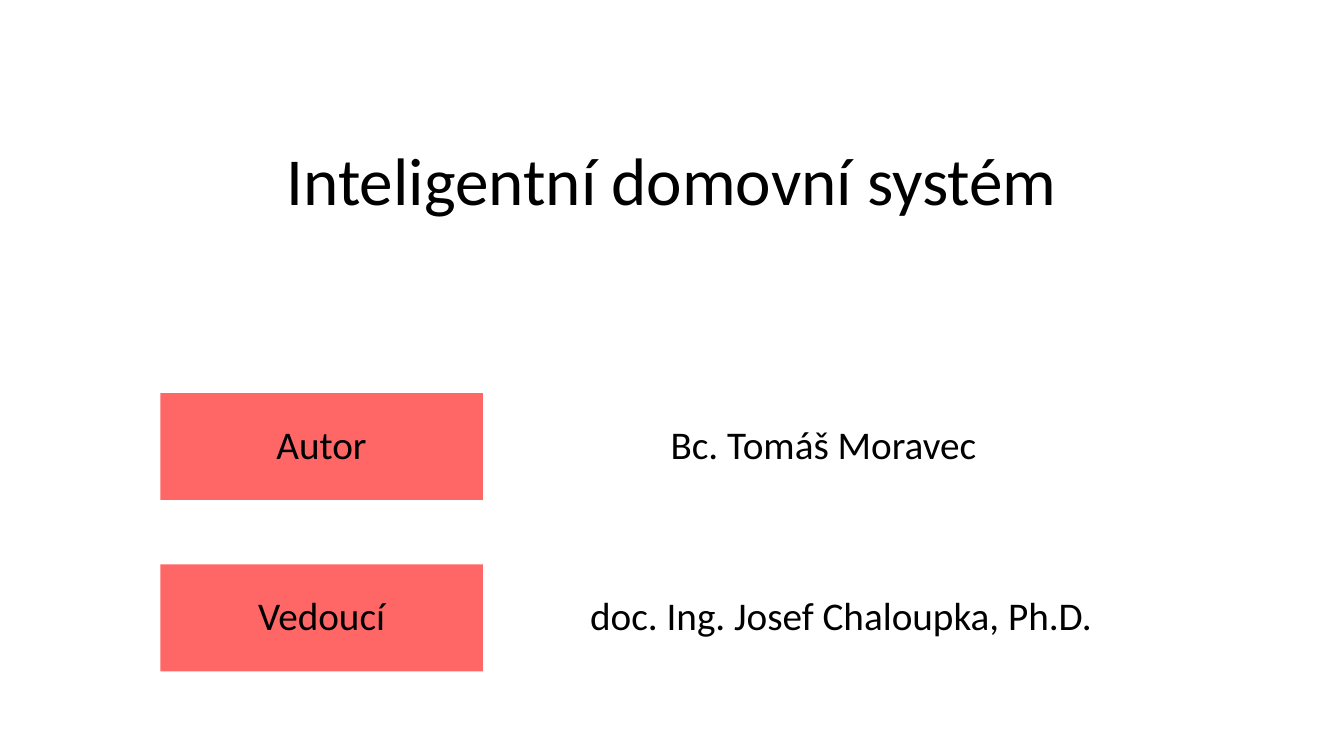
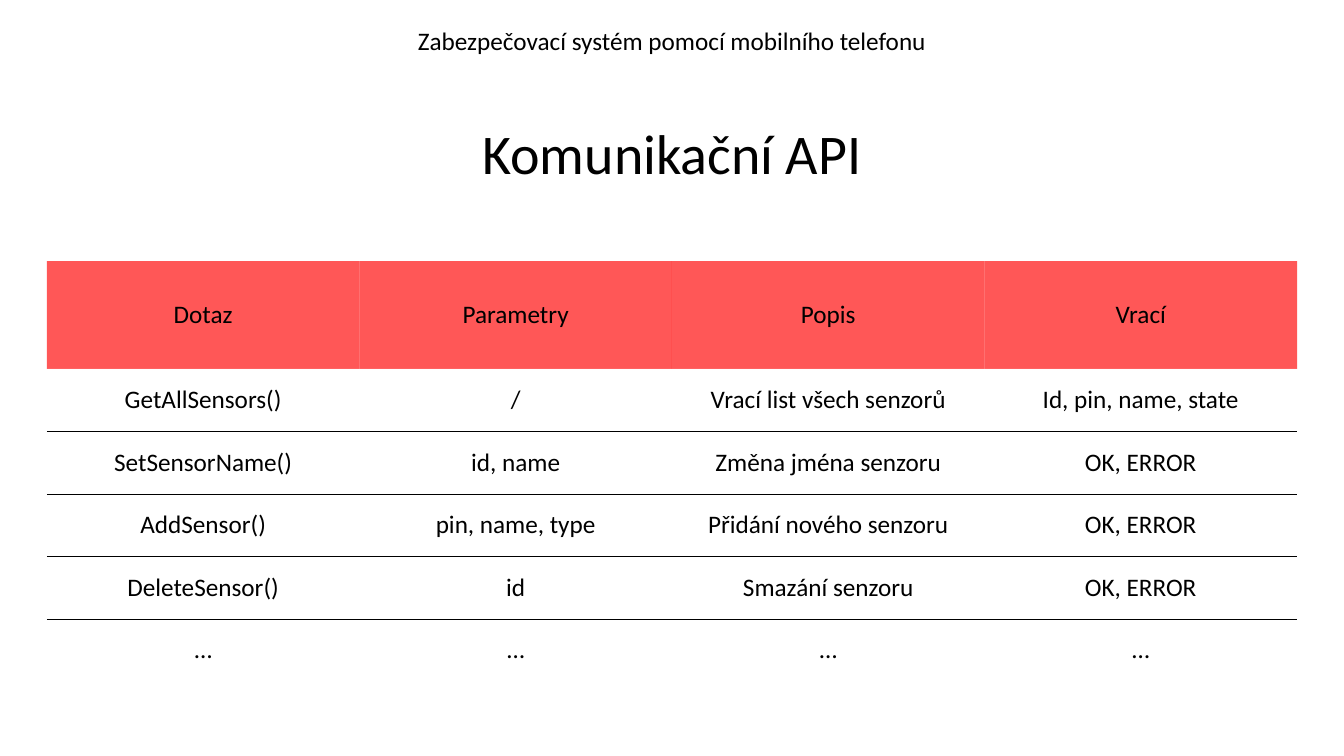
from dataclasses import dataclass
from lxml.etree import SubElement as Sub
from pptx import Presentation
from pptx.dml.color import RGBColor as Rgb
from pptx.enum.shapes import MSO_SHAPE as Form
from pptx.enum.text import MSO_ANCHOR as Anchor, MSO_AUTO_SIZE as Auto, PP_ALIGN as Align
from pptx.oxml.ns import qn
from pptx.slide import Slide
from pptx.table import _Cell as Cell
from pptx.text.text import TextFrame as Frame
from pptx.util import Inches, Pt

WIDE, HIGH = Inches(13.33), Inches(7.5)
FONT = "Calibri"
RED, WHITE, BLACK = "FF0000", "FFFFFF", "000000"
PLAIN = "{2D5ABB26-0587-4C30-8999-92F81FD0307C}"
LEFT, FULL = 11.93, 76.22
TAG_WIDE, TAG_HIGH, NAME_HIGH = 24, 14.13, 11.47
COLS, HEAD, ROW = 4, 14.27, 8.27
TABLE_TOP, TABLE_WIDE = 34.53, 93.02


@dataclass(frozen=True)
class Area:
    x: float
    y: float
    w: float
    h: float

    def place(self) -> tuple[int, int, int, int]:
        return (int(WIDE * self.x / 100), int(HIGH * self.y / 100),
                int(WIDE * self.w / 100), int(HIGH * self.h / 100))


@dataclass(frozen=True)
class Role:
    tag: str
    name: str
    top: float
    inset: float


ROLES = [
    Role("Autor", "Bc. Tomáš Moravec", 52, 3.09),
    Role("Vedoucí", "doc. Ing. Josef Chaloupka, Ph.D.", 74.67, 3.44),
]
CALLS = [
    ("Dotaz", "Parametry", "Popis", "Vrací"),
    ("GetAllSensors()", "/", "Vrací list všech senzorů", "Id, pin, name, state"),
    ("SetSensorName()", "id, name", "Změna jména senzoru", "OK, ERROR"),
    ("AddSensor()", "pin, name, type", "Přidání nového senzoru", "OK, ERROR"),
    ("DeleteSensor()", "id", "Smazání senzoru", "OK, ERROR"),
    ("…",) * COLS,
]


def color(code: str) -> Rgb:
    return Rgb.from_string(code)


def paint(fill, node, code: str, alpha: int) -> None:
    fill.solid()
    fill.fore_color.rgb = color(code)
    tone = next(node.iter(qn("a:srgbClr")))
    Sub(tone, qn("a:alpha"), val=str(alpha * 1000))


def write(frame: Frame, text: str, size: int, gap: float = 0.9) -> None:
    frame.text = text
    line = frame.paragraphs[0]
    line.alignment = Align.CENTER
    line.line_spacing = gap
    line.space_before = Pt(0)
    font = line.runs[0].font
    font.name, font.size = FONT, Pt(size)
    font.color.rgb = color(BLACK)


def style(shape, text: str, size: int, code: str = WHITE) -> None:
    paint(shape.fill, shape._element, code, 60)
    shape.line.fill.background()
    frame = shape.text_frame
    frame.word_wrap = True
    frame.auto_size = Auto.NONE
    frame.vertical_anchor = Anchor.MIDDLE
    write(frame, text, size)


def title(slide: Slide, text: str, size: int, area: Area) -> None:
    shape = slide.shapes.title
    shape.left, shape.top, shape.width, shape.height = area.place()
    style(shape, text, size)


def box(slide: Slide, text: str, size: int, area: Area,
        code: str = WHITE, inset: float = 0.1) -> None:
    shape = slide.shapes.add_shape(Form.RECTANGLE, *area.place())
    shape.shadow.inherit = False
    style(shape, text, size, code)
    shape.text_frame.margin_left = Inches(inset)


def rule(cell: Cell, sides: str) -> None:
    props = cell._tc.get_or_add_tcPr()
    for spot, side in enumerate(sides):
        line = Sub(props, qn(f"a:ln{side}"), w=str(Pt(0.5)))
        fill = Sub(line, qn("a:solidFill"))
        Sub(fill, qn("a:srgbClr"), val=BLACK)
        props.insert(spot, line)


def grid(slide: Slide) -> None:
    rows = len(CALLS)
    area = Area((100 - TABLE_WIDE) / 2, TABLE_TOP, TABLE_WIDE, HEAD + ROW * (rows - 1))
    table = slide.shapes.add_table(rows, COLS, *area.place()).table
    table._tbl.tblPr.find(qn("a:tableStyleId")).text = PLAIN
    table.horz_banding = False
    for r, call in enumerate(CALLS):
        table.rows[r].height = int(HIGH * (ROW if r else HEAD) / 100)
        sides = ("T" if r > 1 else "") + ("B" if 0 < r < rows - 1 else "")
        for c, text in enumerate(call):
            cell = table.cell(r, c)
            cell.vertical_anchor = Anchor.MIDDLE
            paint(cell.fill, cell._tc, *((WHITE, 53) if r else (RED, 66)))
            write(cell.text_frame, text, 18, 1.0)
            rule(cell, sides)


def cover(slide: Slide) -> None:
    title(slide, "Inteligentní domovní systém", 48, Area(0, 11.6, 100, 25.33))
    shift = (TAG_HIGH - NAME_HIGH) / 2
    for role in ROLES:
        box(slide, role.name, 28, Area(LEFT, role.top + shift, FULL, NAME_HIGH),
            inset=role.inset)
        box(slide, role.tag, 28, Area(LEFT, role.top, TAG_WIDE, TAG_HIGH), RED)


def calls(slide: Slide) -> None:
    box(slide, "Zabezpečovací systém pomocí mobilního telefonu", 18, Area(0, 1.6, 100, 8))
    title(slide, "Komunikační API", 40, Area(0, 12, 100, 17.47))
    grid(slide)


def main() -> None:
    deck = Presentation()
    deck.slide_width, deck.slide_height = WIDE, HIGH
    for draw in (cover, calls):
        draw(deck.slides.add_slide(deck.slide_layouts[5]))
    deck.save("out.pptx")


if __name__ == "__main__":
    main()
